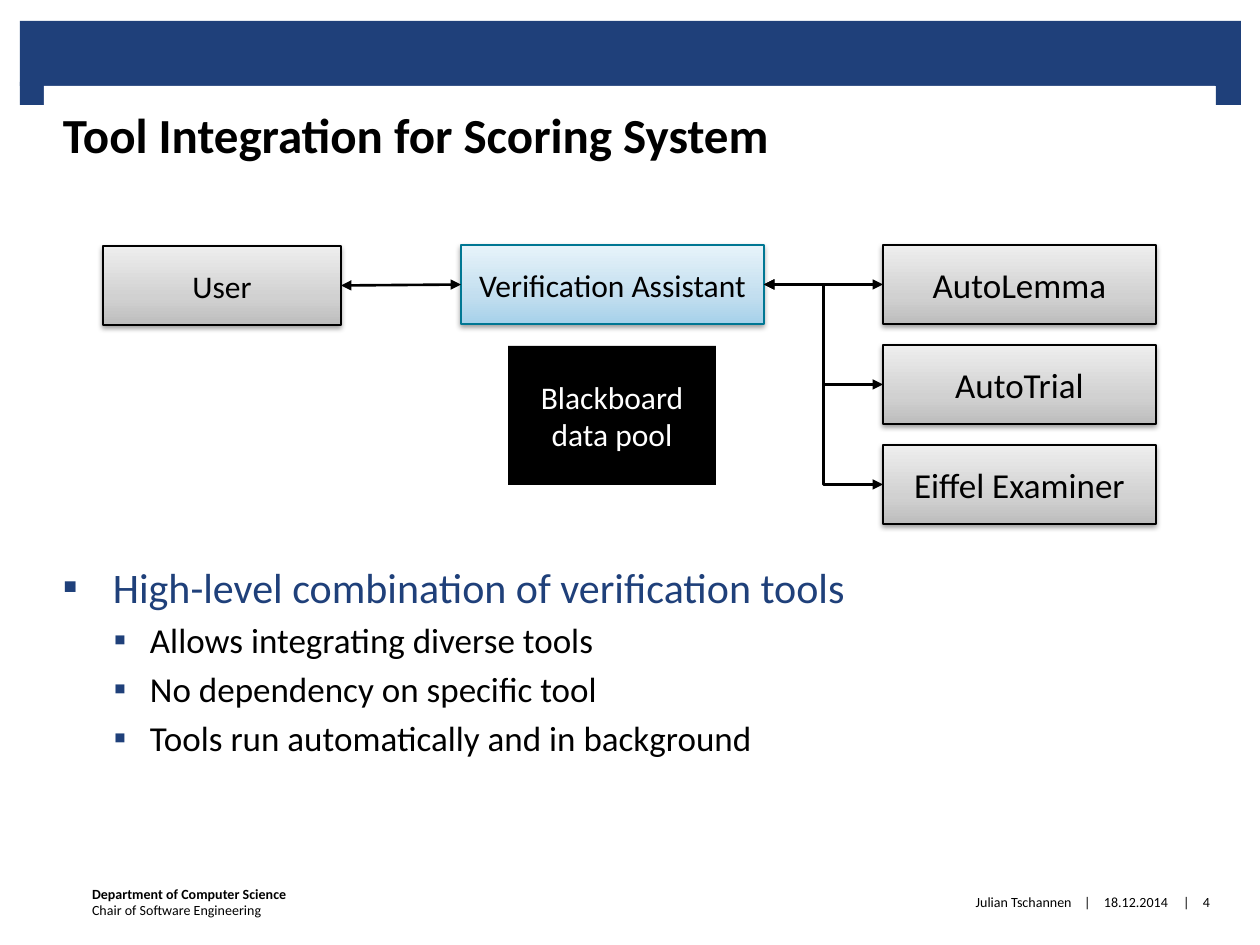
from copy import deepcopy
from dataclasses import dataclass

from lxml.etree import SubElement
from pptx import Presentation
from pptx.dml.color import RGBColor
from pptx.enum.shapes import MSO_CONNECTOR, MSO_SHAPE
from pptx.enum.text import MSO_ANCHOR, PP_ALIGN
from pptx.oxml.ns import qn
from pptx.util import Emu, Pt

EMU_PER_PX = 914400 / 126
LEFT_SITE, RIGHT_SITE = 1, 3


@dataclass(frozen=True)
class Theme:
    font: str = "Calibri"
    navy: str = "1F407A"
    black: str = "000000"
    white: str = "FFFFFF"
    teal: str = "007793"
    gray_fade: tuple = ((0, "BDBDBD"), (0.35, "D1D1D1"), (1, "EEEEEE"))
    blue_fade: tuple = ((0, "A6D1EA"), (0.35, "C2DEEF"), (1, "E7F3FA"))
    title: int = 28
    bullet: int = 24
    detail: int = 20
    node: int = 18
    footer: int = 8


THEME = Theme()


def px(length):
    return Emu(round(length * EMU_PER_PX))


def rgb(color):
    return RGBColor.from_string(color)


def write_text(shape, lines, *, size, color=THEME.black, bold=False,
               align=PP_ALIGN.LEFT, anchor=MSO_ANCHOR.MIDDLE,
               insets=(0, 0, 0, 0), wrap=True):
    """Each line is a string, or a string with its own format in a dict."""
    frame = shape.text_frame
    frame.word_wrap = wrap
    frame.vertical_anchor = anchor
    (frame.margin_left, frame.margin_top,
     frame.margin_right, frame.margin_bottom) = map(px, insets)
    for index, line in enumerate(lines):
        text, own = (line, {}) if isinstance(line, str) else line
        paragraph = frame.paragraphs[0] if index == 0 else frame.add_paragraph()
        paragraph.alignment = align
        paragraph.space_before = Pt(own.get("before", 0))
        run = paragraph.add_run()
        run.text = text
        run.font.name = THEME.font
        run.font.size = Pt(own.get("size", size))
        run.font.bold = own.get("bold", bold)
        run.font.color.rgb = rgb(own.get("color", color))
        if "bullet" in own:
            add_bullet(paragraph, **own["bullet"])


def add_bullet(paragraph, level, margin, hang):
    paragraph.level = level
    props = paragraph._p.get_or_add_pPr()
    props.set("marL", str(px(margin)))
    props.set("indent", str(-px(hang)))
    color = SubElement(props, qn("a:buClr"))
    SubElement(color, qn("a:srgbClr"), val=THEME.navy)
    SubElement(props, qn("a:buFont"), typeface=THEME.font)
    SubElement(props, qn("a:buChar"), char="▪")


def add_label(slide, box, lines, **text_format):
    label = slide.shapes.add_textbox(*map(px, box))
    write_text(label, lines, **text_format)


def add_block(slide, box, color):
    block = slide.shapes.add_shape(MSO_SHAPE.RECTANGLE, *map(px, box))
    block.shadow.inherit = False
    block.fill.solid()
    block.fill.fore_color.rgb = rgb(color)
    block.line.fill.background()
    return block


def add_node(slide, box, name, size=THEME.node, fade=THEME.gray_fade,
             outline=THEME.black):
    node = add_block(slide, box, THEME.white)
    node.fill.gradient()
    node.fill.gradient_angle = 90
    stop_list = node._element.spPr.find(qn("a:gradFill")).find(qn("a:gsLst"))
    stop_list.append(deepcopy(stop_list[-1]))
    for stop, (position, color) in zip(node.fill.gradient_stops, fade):
        stop.position = position
        stop.color.rgb = rgb(color)
    node.line.color.rgb = rgb(outline)
    node.line.width = Pt(0.75)
    # Soft shadow straight below
    effects = node._element.spPr.find(qn("a:effectLst"))
    shadow = SubElement(effects, qn("a:outerShdw"), blurRad=str(Pt(3.1)),
                        dist=str(Pt(1.6)), dir="5400000", rotWithShape="0")
    shade = SubElement(shadow, qn("a:srgbClr"), val=THEME.black)
    SubElement(shade, qn("a:alpha"), val="38000")
    write_text(node, [name], size=size, align=PP_ALIGN.CENTER)
    return node


def link(slide, source, target, route):
    arrow = slide.shapes.add_connector(route, 0, 0, 0, 0)
    arrow.begin_connect(source, RIGHT_SITE)
    arrow.end_connect(target, LEFT_SITE)
    arrow.line.color.rgb = rgb(THEME.black)
    arrow.line.width = Pt(1.5)
    outline = arrow.line._get_or_add_ln()
    for end in ("a:headEnd", "a:tailEnd"):
        SubElement(outline, qn(end), type="triangle")
    SubElement(arrow._element.spPr, qn("a:effectLst"))


def draw_header(slide, left, top, width):
    corner = 25
    add_block(slide, (left, top, width, 65), THEME.navy)
    for x in (left, left + width - corner):
        add_block(slide, (x, top + 61, corner, 23), THEME.navy)


def draw_title(slide, left, top, width, height):
    title = add_block(slide, (left, top, width, height), THEME.white)
    write_text(title, ["Tool Integration for Scoring System"],
               size=THEME.title, bold=True, anchor=MSO_ANCHOR.BOTTOM,
               insets=(19, 0, 20, 0))


def draw_architecture(slide, left, top):
    node_height, tool_pitch = 79, 100
    user = add_node(slide, (left, top + 1, 238, node_height), "User")
    assistant = add_node(slide, (left + 358, top, 303, node_height),
                         "Verification Assistant",
                         fade=THEME.blue_fade, outline=THEME.teal)
    tools = [
        add_node(slide, (left + 780, top + row * tool_pitch, 273, node_height),
                 name, size=THEME.detail)
        for row, name in enumerate(("AutoLemma", "AutoTrial", "Eiffel Examiner"))
    ]
    # Shared data below the assistant
    blackboard = add_block(slide, (left + 405, top + 101, 208, 139), THEME.black)
    write_text(blackboard, ["Blackboard", "data pool"], size=THEME.node,
               color=THEME.white, align=PP_ALIGN.CENTER)
    # Two-way links
    link(slide, user, assistant, MSO_CONNECTOR.STRAIGHT)
    for tool in tools:
        link(slide, assistant, tool, MSO_CONNECTOR.ELBOW)


def draw_benefits(slide, left, top, width, height):
    main = {"size": THEME.bullet, "color": THEME.navy,
            "bullet": {"level": 0, "margin": 50, "hang": 50}}
    detail = {"before": 4, "bullet": {"level": 1, "margin": 87, "hang": 36}}
    details = ("Allows integrating diverse tools",
               "No dependency on specific tool",
               "Tools run automatically and in background")
    add_label(slide, (left, top, width, height),
              [("High-level combination of verification tools", main),
               *((text, detail) for text in details)],
              size=THEME.detail, anchor=MSO_ANCHOR.TOP, insets=(19, 0, 20, 0))


def draw_footer(slide, left, top, height):
    add_label(slide, (left, top, 538, height),
              [("Department of Computer Science", {"bold": True}),
               "Chair of Software Engineering"], size=THEME.footer)
    # Author, date and page number with separators
    entries = (
        (538, 442, "Julian Tschannen", PP_ALIGN.RIGHT),
        (988, 15, "|", PP_ALIGN.CENTER),
        (1002, 84, "18.12.2014", PP_ALIGN.CENTER),
        (1087, 15, "|", PP_ALIGN.CENTER),
        (1091, 47, "4", PP_ALIGN.CENTER),
    )
    for offset, width, text, align in entries:
        add_label(slide, (left + offset, top, width, height), [text],
                  size=THEME.footer, align=align, wrap=False)


def main():
    deck = Presentation()
    deck.slide_width, deck.slide_height = px(1260), px(945)
    slide = deck.slides.add_slide(deck.slide_layouts[6])
    draw_header(slide, 20, 21, 1221)
    draw_title(slide, 44, 86, 1171, 77)
    draw_architecture(slide, 103, 245)
    draw_benefits(slide, 44, 561, 1171, 298)
    draw_footer(slide, 92, 870, 64)
    deck.save("out.pptx")


if __name__ == "__main__":
    main()
